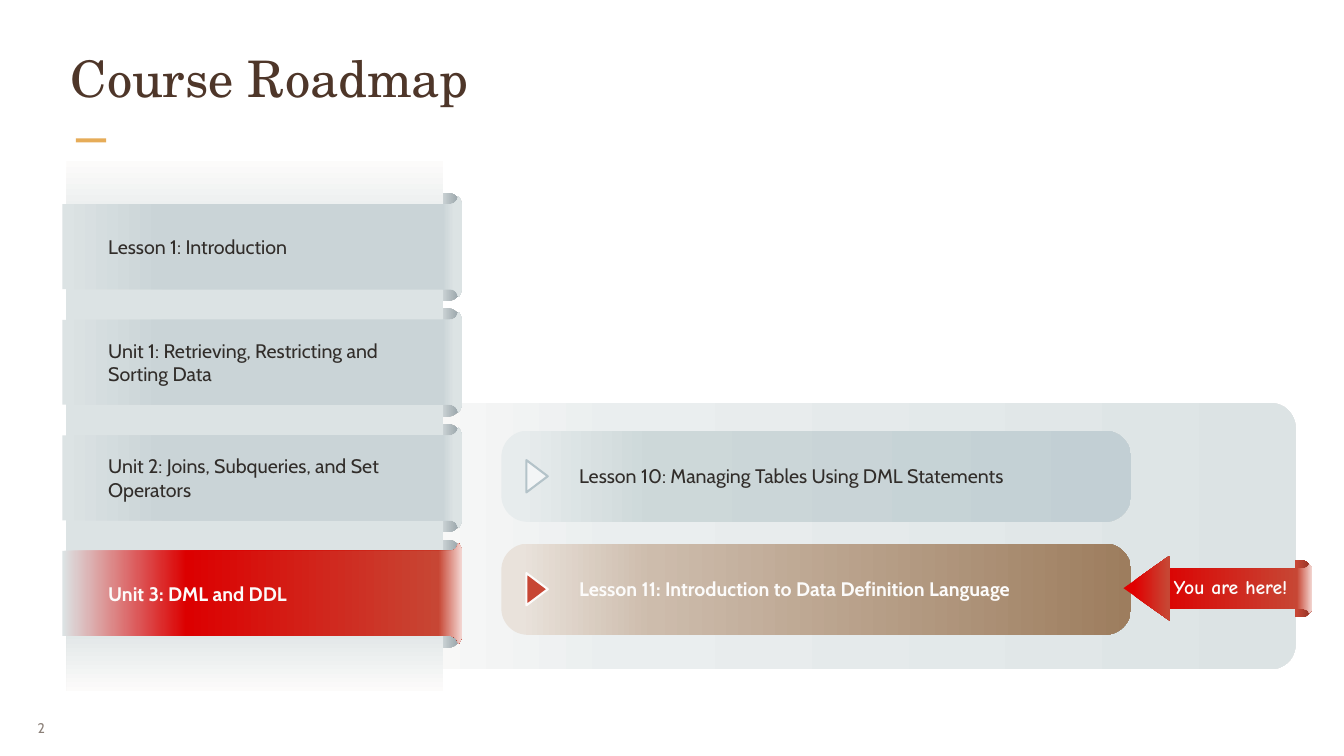
"""Build the course roadmap slide with its unit ribbons and lesson bars."""
from dataclasses import dataclass

from lxml import etree
from pptx import Presentation, util as u
from pptx.dml.color import RGBColor
from pptx.enum import shapes, text
from pptx.oxml import ns


@dataclass(frozen=True)
class Theme:
    ink: str = "312D2A"
    paper: str = "FCFBFA"
    title: str = "4E3629"
    accent: str = "E6AC58"
    muted: str = "8B8078"
    red: str = "C74634"
    marker: str = "F3F5F6"
    marker_line: str = "B4C3C9"
    title_font: str = "TeX Gyre Schola"
    body_font: str = "Cabin"
    note_font: str = "Comic Neue"
    title_size: int = 54
    body_size: int = 21
    number_size: int = 15
    panel: tuple = ((0, "FCFBFA"), (26, "EAEEEF"), (100, "DCE3E4"))
    lesson: tuple = ((3, "E7ECED"), (24, "CDD8D9"), (100, "C2CFD4"))
    current_lesson: tuple = ((3, "E9E2DB"), (24, "CDBCAC"), (100, "9D7D5E"))
    fold: tuple = ((77, "DEE4E5"), (99, "96A2A7"))
    spine: tuple = ((0, "FCFBFA"), (17, "DCE3E4"), (87, "DCE3E4"), (100, "FCFBFA"))
    unit: tuple = ((0, "DCE3E4"), (25, "CAD4D7"), (95, "CAD4D7"), (98, "DCE3E4"))
    current_unit: tuple = ((0, "DCE3E4"), (31, "DC0000"), (94, "C74634"), (100, "F4DAD6"))
    note: tuple = ((0, "DC0000"), (90, "C74634"), (100, "F4DAD6"))
    note_fold: tuple = ((11, "C74634"), (92, "953427"))
    note_tip: tuple = ((0, "E00000"), (23, "E00000"), (96, "C74634"))


def curve(start, *controls, steps=8):
    points = (start, *controls)
    weights = (1, 3, 3, 1)
    return [
        tuple(
            sum(w * (1 - t) ** (3 - i) * t ** i * p[axis]
                for i, (w, p) in enumerate(zip(weights, points)))
            for axis in (0, 1)
        )
        for t in (step / steps for step in range(steps + 1))
    ]


class RoadmapSlide:
    def __init__(self, slide, theme):
        self.shapes = slide.shapes
        self.theme = theme

    def paint(self, shape, fill, angle=0, line=None):
        shape.shadow.inherit = False
        if isinstance(fill, str):
            shape.fill.solid()
            shape.fill.fore_color.rgb = RGBColor.from_string(fill)
        else:
            shape.fill.gradient()
            shape.fill.gradient_angle = angle
            stops = shape._element.spPr.find(ns.qn("a:gradFill")).find(ns.qn("a:gsLst"))
            for stop in list(stops):
                stops.remove(stop)
            for position, color in fill:
                stop = etree.SubElement(stops, ns.qn("a:gs"), pos=str(position * 1000))
                etree.SubElement(stop, ns.qn("a:srgbClr"), val=color)
        if line:
            shape.line.color.rgb = RGBColor.from_string(line)
            shape.line.width = u.Pt(2.25)
        else:
            shape.line.fill.background()

    def block(self, kind, box, fill, corner=None, rotation=0, **style):
        shape = self.shapes.add_shape(kind, *map(u.Cm, box))
        if corner is not None:
            shape.adjustments[0] = corner
        shape.rotation = rotation
        self.paint(shape, fill, **style)

    def rounded(self, box, fill, corner):
        self.block(shapes.MSO_SHAPE.ROUNDED_RECTANGLE, box, fill, corner)

    def triangle(self, box, fill, rotation, **style):
        self.block(shapes.MSO_SHAPE.ISOSCELES_TRIANGLE, box, fill, rotation=rotation, **style)

    def mirrored(self, upper, middle, fill):
        lower = [(x, 2 * middle - y) for x, y in reversed(upper)]
        points = [(u.Cm(x), u.Cm(y)) for x, y in upper + lower]
        builder = self.shapes.build_freeform(*points[0])
        builder.add_line_segments(points[1:], close=True)
        self.paint(builder.convert_to_shape(), fill)

    def ribbon(self, left, top, right, height, fill, curl=(1, 1)):
        def at(inset, drop):
            return right - inset * curl[0], top + drop * curl[1]

        upper = [(left, top + 0.3 * curl[1])]
        upper += curve(at(0.48, 0.3), at(0.35, 0.3), at(0.25, 0.23), at(0.2, 0.13))
        upper += curve(at(0.15, 0), at(0.05, 0.13), at(0, 0.3), at(0, 0.51))
        self.mirrored(upper, top + height / 2, fill)

    def label(self, box, words, color, size=None, font=None, bold=None,
              anchor=text.MSO_ANCHOR.MIDDLE, align=None, margins=None, wrap=True, grow=True):
        frame = self.shapes.add_textbox(*map(u.Cm, box)).text_frame
        frame.word_wrap = wrap
        frame.auto_size = (text.MSO_AUTO_SIZE.SHAPE_TO_FIT_TEXT if grow
                           else text.MSO_AUTO_SIZE.NONE)
        frame.vertical_anchor = anchor
        if margins:
            frame.margin_left = frame.margin_right = u.Cm(margins[0])
            frame.margin_top = frame.margin_bottom = u.Cm(margins[1])
        paragraph = frame.paragraphs[0]
        paragraph.text = words
        paragraph.alignment = align
        paragraph.font.size = u.Pt(size or self.theme.body_size)
        paragraph.font.name = font or self.theme.body_font
        paragraph.font.bold = bold
        paragraph.font.color.rgb = RGBColor.from_string(color)


def main():
    theme = Theme()
    deck = Presentation()
    deck.slide_width, deck.slide_height = u.Cm(50.8), u.Cm(28.58)
    roadmap = RoadmapSlide(deck.slides.add_slide(deck.slide_layouts[6]), theme)
    rectangle = shapes.MSO_SHAPE.RECTANGLE
    one_line, two_lines = 1.14, 2.06

    roadmap.block(rectangle, (2.87, 5.23, 1.14, 0.15), theme.accent)
    roadmap.label((1.09, 26.77, 1.65, 1.47), "2", theme.muted, theme.number_size,
                  align=text.PP_ALIGN.JUSTIFY, margins=(0.33, 0.18), wrap=False, grow=False)
    roadmap.rounded((14.38, 15.24, 34.59, 10.06), theme.panel, 0.093)

    lessons = (
        ("Lesson 10: Managing Tables Using DML Statements",
         theme.lesson, theme.ink, None, theme.marker, theme.marker_line),
        ("Lesson 11: Introduction to Data Definition Language",
         theme.current_lesson, theme.paper, True, theme.red, theme.paper),
    )
    for row, (words, fill, color, bold, marker, outline) in enumerate(lessons):
        top = 16.28 + 4.27 * row
        roadmap.rounded((18.95, top, 23.8, 3.45), fill, 0.289)
        roadmap.label((21.64, top + 0.69, 17.02, two_lines), words, color, bold=bold)
        roadmap.triangle((19.69, top + 1.32, 1.22, 0.81), marker, 90, line=outline)

    fold_edge = [(48.95, 21.18)] + curve((49.2, 21.18), (49.38, 21.18), (49.56, 21.36), (49.56, 21.56))
    roadmap.mirrored(fold_edge, 22.26, theme.note_fold)
    roadmap.ribbon(43.74, 21.34, 49.61, 1.83, theme.note, curl=(0.8, 0.5))
    roadmap.triangle((42.11, 21.36, 2.46, 1.75), theme.note_tip, 270, angle=270)
    roadmap.label((43.76, 21.62, 5.51, one_line), "You are here!", theme.paper,
                  font=theme.note_font, bold=True, anchor=text.MSO_ANCHOR.TOP,
                  align=text.PP_ALIGN.CENTER)

    roadmap.label((2.59, 1.7, 45.62, 3.25), "Course Roadmap", theme.title, theme.title_size,
                  theme.title_font, anchor=text.MSO_ANCHOR.TOP, margins=(0.08, 0.08), grow=False)

    units = (
        ("Lesson 1: Introduction", 10.13, one_line),
        ("Unit 1: Retrieving, Restricting and Sorting Data", 12.22, two_lines),
        ("Unit 2: Joins, Subqueries, and Set Operators", 12.42, two_lines),
        ("Unit 3: DML and DDL", 9.22, one_line),
    )
    ribbon_height = 3.81
    tops = [7.42 + 4.37 * row for row in range(len(units))]
    for top in tops:
        roadmap.rounded((13.41, top - 0.13, 4.01, 4.09), theme.fold, 0.126)
    roadmap.block(rectangle, (2.51, 6.1, 14.25, 20.02), theme.spine, angle=270)
    for top, unit in zip(tops, units):
        fill = theme.current_unit if unit is units[-1] else theme.unit
        roadmap.ribbon(2.36, top, 17.48, ribbon_height, fill)
    for top, unit in zip(tops, units):
        words, width, height = unit
        current = unit is units[-1]
        roadmap.label((3.84, top + (ribbon_height - height) / 2, width, height), words,
                      theme.paper if current else theme.ink, bold=current or None)

    deck.save("out.pptx")


if __name__ == "__main__":
    main()
